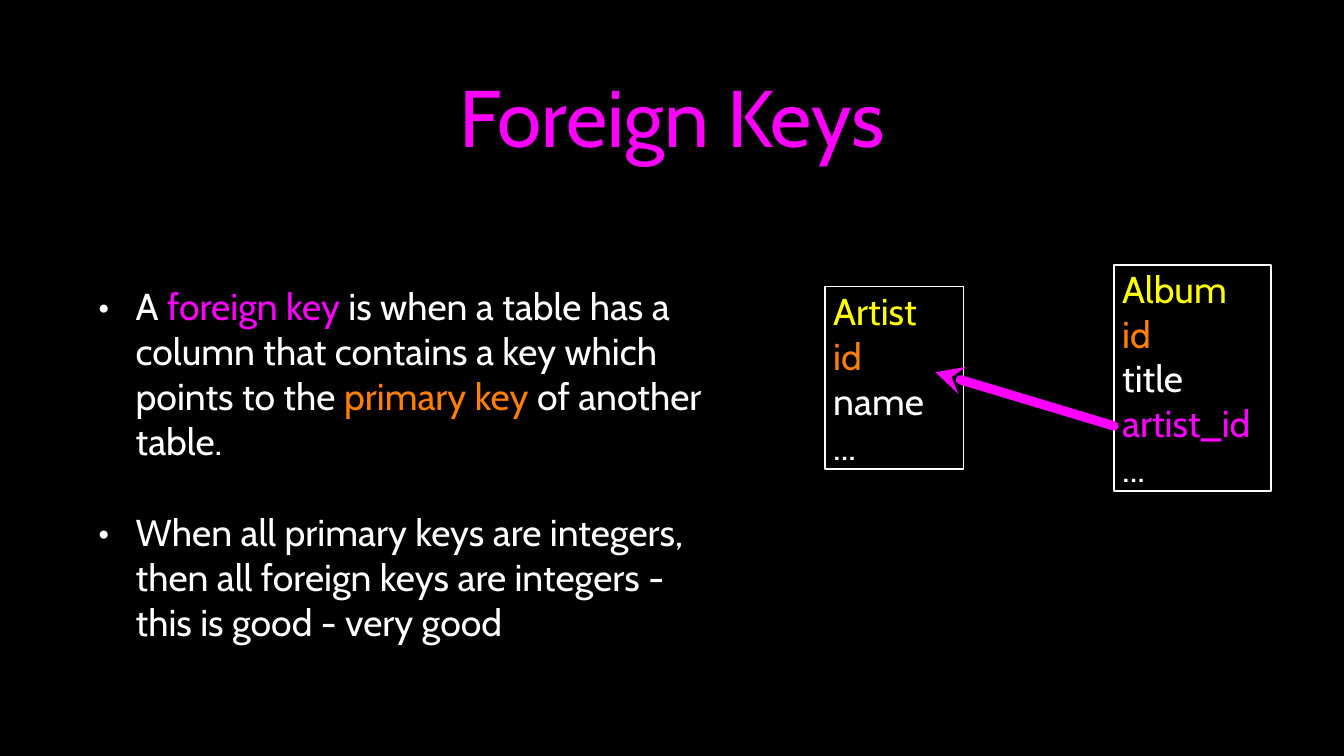
from dataclasses import dataclass

from lxml.etree import SubElement
from pptx import Presentation
from pptx.dml.color import RGBColor
from pptx.enum.shapes import MSO_CONNECTOR as Connector, MSO_SHAPE as Shape
from pptx.enum.text import MSO_ANCHOR as Anchor, PP_ALIGN as Align
from pptx.oxml.ns import qn
from pptx.util import Inches, Pt


@dataclass(frozen=True)
class Theme:
    font: str = "Cabin"
    background: str = "000000"
    plain: str = "FFFFFF"
    foreign: str = "FF00FF"
    primary: str = "FF7F00"
    table: str = "FFFF00"
    title_size: int = 43
    body_size: int = 20


THEME = Theme()
WIDTH = 10
HEIGHT = WIDTH * 9 / 16

TITLE = [[("Foreign Keys", THEME.foreign)]]
POINTS = [
    [("A", THEME.plain), (" foreign key", THEME.foreign),
     (" is when a table has a column that contains a key which points to the ", THEME.plain),
     ("primary key", THEME.primary), (" of another table.", THEME.plain)],
    [("When all primary keys are integers, then all foreign keys are integers"
      " - this is good - very good", THEME.plain)],
]
ARTIST = [("Artist", THEME.table), ("id", THEME.primary),
          ("name", THEME.plain), ("...", THEME.plain)]
ALBUM = [("Album", THEME.table), ("id", THEME.primary), ("title", THEME.plain),
         ("artist_id", THEME.foreign), ("...", THEME.plain)]

# Left, top, width, height in inches
MARGIN = 0.71
TITLE_AREA = (MARGIN, 0.15, WIDTH - 2 * MARGIN, 1.41)
POINTS_AREA = (MARGIN, 1.51, 0.47 * WIDTH, 3.88)
TABLE_MIDDLE = HEIGHT / 2
ARTIST_AREA = (6.14, TABLE_MIDDLE - 0.68, 1.03, 1.36)
ALBUM_AREA = (8.29, TABLE_MIDDLE - 0.84, 1.17, 1.68)
ID_POINT = (6.96, 2.77)
ARTIST_ID_POINT = (ALBUM_AREA[0], 3.17)
INDENT = 0.28
TEXT_INSET = 0.02
COLUMN_INSET = 0.06


def color(value):
    return RGBColor.from_string(value)


def add_bullet(paragraph):
    props = paragraph._p.get_or_add_pPr()
    props.set("marL", str(Inches(INDENT)))
    props.set("indent", str(-Inches(INDENT)))
    bullet_color = SubElement(props, qn("a:buClr"))
    SubElement(bullet_color, qn("a:srgbClr"), val=THEME.plain)
    SubElement(props, qn("a:buFont"), typeface=THEME.font)
    SubElement(props, qn("a:buChar"), char="•")


def write(shape, paragraphs, size, inset, align=Align.LEFT, bullets=False, gap=0):
    """Fill a shape with paragraphs, each a list of (text, colour) runs."""
    frame = shape.text_frame
    frame.word_wrap = True
    frame.vertical_anchor = Anchor.MIDDLE
    frame.margin_left = frame.margin_right = Inches(inset)
    frame.margin_top = frame.margin_bottom = Inches(TEXT_INSET)
    for index, runs in enumerate(paragraphs):
        paragraph = frame.add_paragraph() if index else frame.paragraphs[0]
        paragraph.alignment = align
        if index and gap:
            paragraph.space_before = Pt(gap)
        if bullets:
            add_bullet(paragraph)
        paragraph.font.name = THEME.font
        paragraph.font.size = Pt(size)
        for text, run_color in runs:
            run = paragraph.add_run()
            run.text = text
            run.font.color.rgb = color(run_color)


def add_schema_table(slide, area, columns):
    box = slide.shapes.add_shape(Shape.RECTANGLE, *map(Inches, area))
    box.shadow.inherit = False
    box.fill.background()
    box.line.color.rgb = color(THEME.plain)
    box.line.width = Pt(1)
    write(box, [[column] for column in columns], THEME.body_size, COLUMN_INSET)


def add_reference(slide, target, source):
    """Draw an arrow whose head lies at the target."""
    arrow = slide.shapes.add_connector(Connector.STRAIGHT, *map(Inches, target + source))
    arrow.line.color.rgb = color(THEME.foreign)
    arrow.line.width = Pt(5)
    outline = arrow.line._get_or_add_ln()
    outline.set("cap", "rnd")
    SubElement(outline, qn("a:headEnd"), type="stealth")
    SubElement(arrow._element.spPr, qn("a:effectLst"))


def main():
    deck = Presentation()
    deck.slide_width, deck.slide_height = Inches(WIDTH), Inches(HEIGHT)
    slide = deck.slides.add_slide(deck.slide_layouts[6])
    slide.background.fill.solid()
    slide.background.fill.fore_color.rgb = color(THEME.background)

    title = slide.shapes.add_textbox(*map(Inches, TITLE_AREA))
    write(title, TITLE, THEME.title_size, TEXT_INSET, align=Align.CENTER)
    points = slide.shapes.add_textbox(*map(Inches, POINTS_AREA))
    write(points, POINTS, THEME.body_size, TEXT_INSET, bullets=True, gap=25)

    add_schema_table(slide, ARTIST_AREA, ARTIST)
    add_schema_table(slide, ALBUM_AREA, ALBUM)
    add_reference(slide, ID_POINT, ARTIST_ID_POINT)
    deck.save("out.pptx")


if __name__ == "__main__":
    main()
